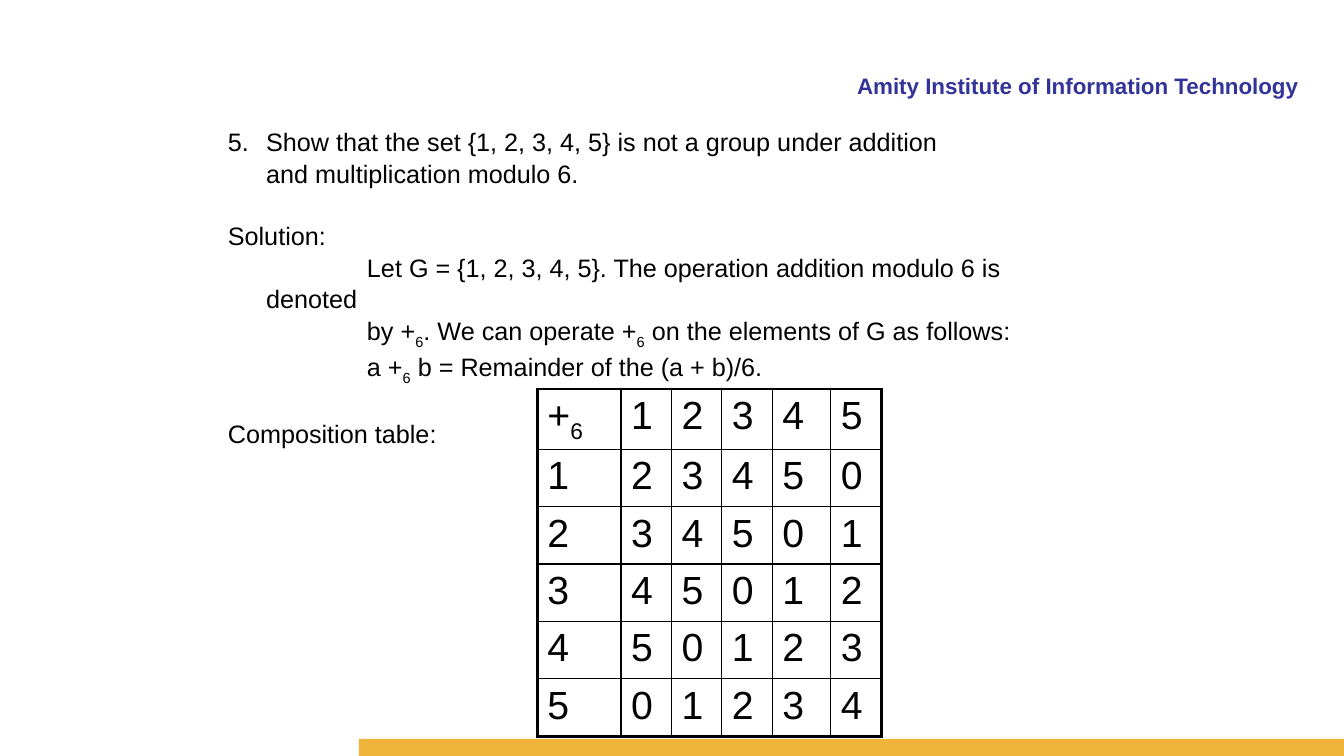
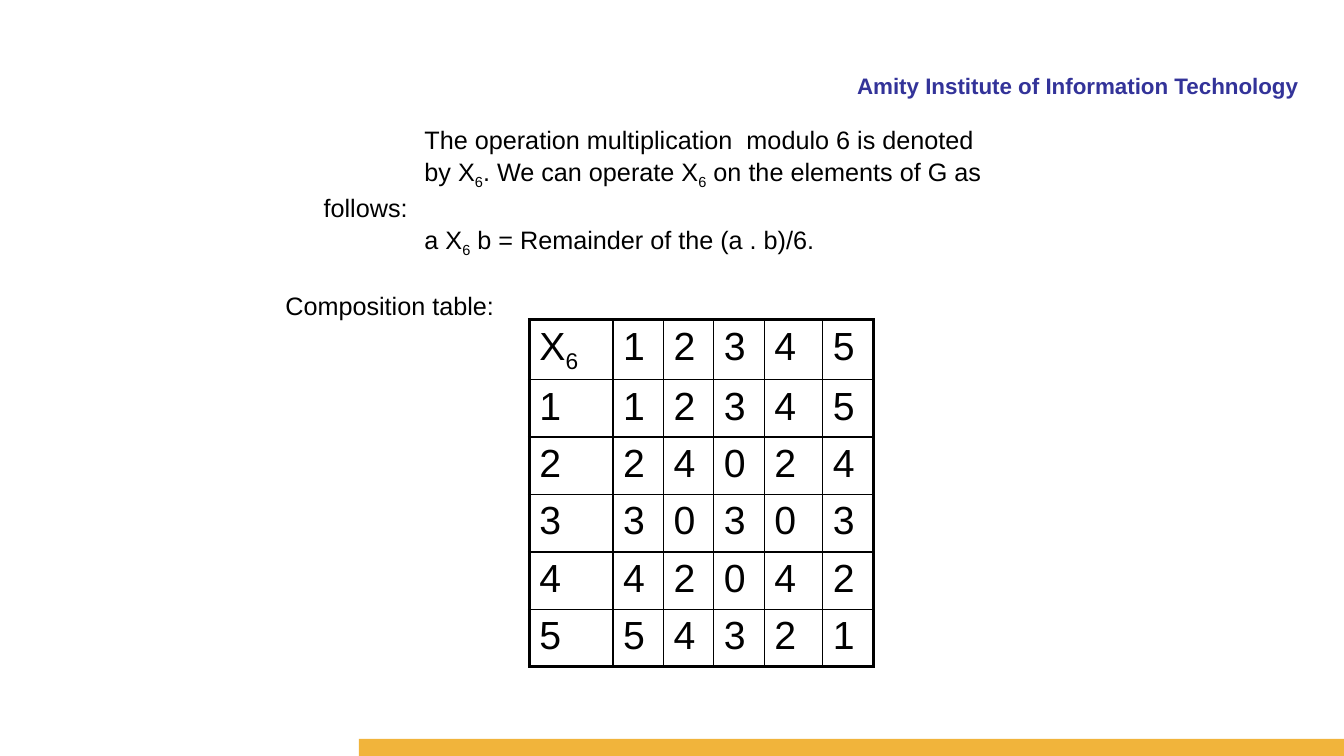
from lxml.etree import SubElement
from pptx import Presentation
from pptx.dml.color import RGBColor
from pptx.enum.shapes import MSO_SHAPE
from pptx.enum.text import MSO_ANCHOR, MSO_AUTO_SIZE, PP_ALIGN
from pptx.oxml import parse_xml
from pptx.oxml.ns import nsdecls, qn
from pptx.util import Inches, Pt

FONT = "Arial"
BLACK, NAVY, GOLD = "000000", "333399", "F1B43B"
HEADING = "Amity Institute of Information Technology"

MODULUS = 6
ELEMENTS = range(1, MODULUS)
COLUMN_WIDTHS = [0.83, 0.5, 0.5, 0.5, 0.58, 0.5]
ROW_HEIGHT = 0.57
THIN, THICK = 1, 2.25
BLANK_LINE = 21.6

# Left margin and first-line indent of each kind of paragraph, in inches
INDENTS = {
    "number": (0.38, -0.38),
    "continued": (0.38, 0),
    "label": (0.38, -0.38),
    "detail": (0.38, 1),
}


def color(hex_string):
    return RGBColor.from_string(hex_string)


def place(shape, left, top, width, height):
    shape.left, shape.top = Inches(left), Inches(top)
    shape.width, shape.height = Inches(width), Inches(height)


def style_font(font, size, hex_string, bold=False):
    font.name, font.size, font.bold = FONT, Pt(size), bold
    font.color.rgb = color(hex_string)


def add_runs(para, text, size):
    """Write text run by run; the character after each underscore is a subscript."""
    first, *rest = text.split("_")
    pieces = [(first, False)]
    for part in rest:
        pieces += [(part[0], True), (part[1:], False)]
    for words, is_subscript in pieces:
        if words:
            span = para.add_run()
            span.text = words
            style_font(span.font, size, BLACK)
            if is_subscript:
                span.font._element.set("baseline", "-25000")


def prepare_frame(shape):
    frame = shape.text_frame
    frame.word_wrap = True
    frame.auto_size = MSO_AUTO_SIZE.NONE
    frame.vertical_anchor = MSO_ANCHOR.TOP
    return frame


def add_page(deck):
    """Add a slide with the institute heading and the gold band."""
    page = deck.slides.add_slide(deck.slide_layouts[1])
    place(page.shapes.title, 5.09, 0.67, 7.89, 0.33)
    para = prepare_frame(page.shapes.title).paragraphs[0]
    para.alignment = PP_ALIGN.RIGHT
    span = para.add_run()
    span.text = HEADING
    style_font(span.font, 16, NAVY, bold=True)

    band = page.shapes.add_shape(
        MSO_SHAPE.RECTANGLE, Inches(3.56), Inches(7.33), Inches(9.78), Inches(0.17))
    band.shadow.inherit = False
    band.fill.solid()
    band.fill.fore_color.rgb = color(GOLD)
    band.line.fill.background()
    return page


def fill_body(page, position, lines):
    """Write (kind, text, space before) lines into the body placeholder."""
    body = page.placeholders[1]
    place(body, *position)
    frame = prepare_frame(body)
    for index, (kind, text, space_before) in enumerate(lines):
        para = frame.add_paragraph() if index else frame.paragraphs[0]
        para.line_spacing = 1.05
        para.space_before = Pt(space_before)
        properties = para._p.get_or_add_pPr()
        margin, indent = INDENTS[kind]
        properties.set("marL", str(Inches(margin)))
        properties.set("indent", str(Inches(indent)))
        if kind == "number":
            SubElement(properties, qn("a:buFont"), typeface=FONT)
            SubElement(properties, qn("a:buAutoNum"), type="arabicPeriod", startAt="5")
        else:
            SubElement(properties, qn("a:buNone"))
        add_runs(para, text, 18)


def set_borders(cell, widths):
    """Draw the left, right, top and bottom borders, widths in points."""
    properties = cell._tc.get_or_add_tcPr()
    for index, (side, width) in enumerate(zip("LRTB", widths)):
        properties.insert(index, parse_xml(
            f'<a:ln{side} {nsdecls("a")} w="{Pt(width)}"><a:solidFill>'
            f'<a:srgbClr val="{BLACK}"/></a:solidFill></a:ln{side}>'))


def add_composition_table(page, left, top, symbol, operation):
    rows = [[symbol, *ELEMENTS]]
    rows += [[a, *(operation(a, b) % MODULUS for b in ELEMENTS)] for a in ELEMENTS]
    count = len(rows)
    last = count - 1
    table = page.shapes.add_table(
        count, count, Inches(left), Inches(top),
        Inches(sum(COLUMN_WIDTHS)), Inches(ROW_HEIGHT * count)).table
    table.first_row = table.horz_banding = False
    for column, width in zip(table.columns, COLUMN_WIDTHS):
        column.width = Inches(width)
    for row_index, values in enumerate(rows):
        table.rows[row_index].height = Inches(ROW_HEIGHT)
        for column_index, value in enumerate(values):
            cell = table.cell(row_index, column_index)
            cell.fill.background()
            add_runs(cell.text_frame.paragraphs[0], str(value), 28)
            on_edge = (column_index == 0, column_index == last,
                       row_index == 0, row_index == last)
            set_borders(cell, [THICK if edge else THIN for edge in on_edge])


def add_addition_page(deck):
    page = add_page(deck)
    fill_body(page, (2.16, 1.19, 8.61, 2.83), [
        ("number", "Show that the set {1, 2, 3, 4, 5} is not a group under addition", 0),
        ("continued", "and multiplication modulo 6.", 0),
        ("label", "Solution:", BLANK_LINE),
        ("detail", "Let G = {1, 2, 3, 4, 5}. The operation addition modulo 6 is denoted", 0),
        ("detail", "by +_6. We can operate +_6 on the elements of G as follows:", 0),
        ("detail", "a +_6 b = Remainder of the (a + b)/6.", 0),
        ("label", "Composition table:", BLANK_LINE),
    ])
    add_composition_table(page, 5.33, 3.86, "+_6", lambda a, b: a + b)


def add_multiplication_page(deck):
    page = add_page(deck)
    fill_body(page, (2.73, 1.17, 7.72, 1.92), [
        ("detail", "The operation multiplication  modulo 6 is denoted", 0),
        ("detail", "by X_6. We can operate X_6 on the elements of G as follows:", 0),
        ("detail", "a X_6 b = Remainder of the (a . b)/6.", 0),
        ("label", "Composition table:", BLANK_LINE),
    ])
    add_composition_table(page, 5.25, 3.17, "X_6", lambda a, b: a * b)


def main():
    deck = Presentation()
    deck.slide_width, deck.slide_height = Inches(13.33), Inches(7.5)
    add_addition_page(deck)
    add_multiplication_page(deck)
    deck.save("out.pptx")


if __name__ == "__main__":
    main()
